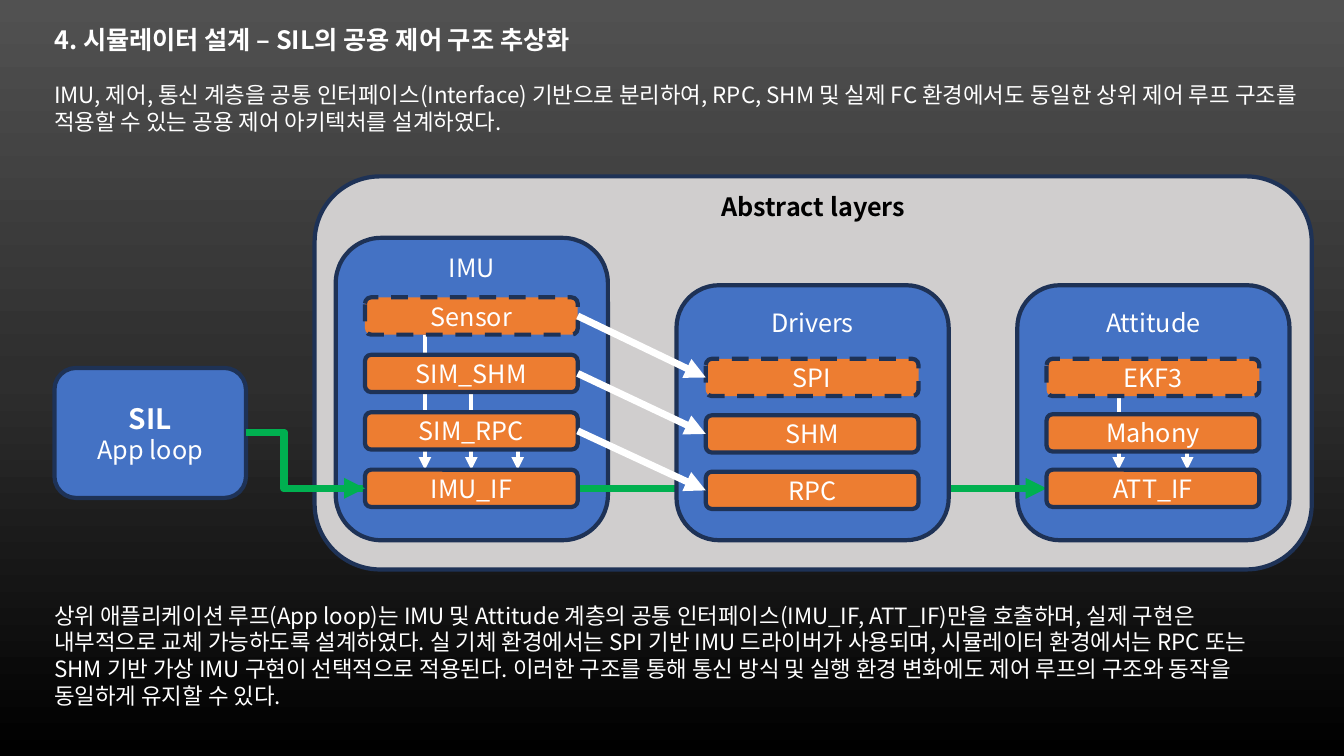
from pptx import Presentation
from pptx.dml.color import RGBColor
from pptx.enum.dml import MSO_LINE
from pptx.enum.shapes import MSO_CONNECTOR, MSO_SHAPE
from pptx.enum.text import MSO_ANCHOR, PP_ALIGN
from pptx.oxml.ns import qn
from pptx.util import Inches, Pt
from lxml.etree import SubElement

FONT = "Noto Sans CJK KR"
COLORS = {
    "white": "FFFFFF", "black": "000000", "navy": "1E3256", "blue": "4472C4",
    "orange": "ED7D31", "gray": "D0CECE", "green": "00B050",
}
GRADIENT = [(0, "515151"), (50, "2E2E2E"), (100, "000000")]

HEADING = [
    ("4. 시뮬레이터 설계 – SIL의 공용 제어 구조 추상화", 18, True),
    ("IMU, 제어, 통신 계층을 공통 인터페이스(Interface) 기반으로 분리하여, RPC, SHM 및 실제 FC 환경에서도 "
     "동일한 상위 제어 루프 구조를 적용할 수 있는 공용 제어 아키텍처를 설계하였다.", 16, False),
]
SUMMARY = [
    ("상위 애플리케이션 루프(App loop)는 IMU 및 Attitude 계층의 공통 인터페이스(IMU_IF, ATT_IF)만을 호출하며, "
     "실제 구현은 내부적으로 교체 가능하도록 설계하였다. 실 기체 환경에서는 SPI 기반 IMU 드라이버가 사용되며, "
     "시뮬레이터 환경에서는 RPC 또는 SHM 기반 가상 IMU 구현이 선택적으로 적용된다. 이러한 구조를 통해 통신 방식 및 "
     "실행 환경 변화에도 제어 루프의 구조와 동작을 동일하게 유지할 수 있다.", 16, False),
]
ABSTRACT = ("Abstract layers", 18, True)
SIL = [("SIL", 20, True), ("App loop", 18, False)]

LAYERS = {
    "IMU": {"left": 3.33, "top": 2.36, "inset": 0.01, "last": 4.66, "pitch": 0.57,
            "boxes": ["Sensor", "SIM_SHM", "SIM_RPC", "IMU_IF"], "flows": [-0.46, 0, 0.46]},
    "Attitude": {"left": 10.09, "top": 2.83, "inset": 0.1, "last": 4.66, "pitch": 0.55,
                 "boxes": ["EKF3", "Mahony", "ATT_IF"], "flows": [-0.34, 0.34]},
    "Drivers": {"left": 6.71, "top": 2.83, "inset": 0.1, "last": 4.68, "pitch": 0.56,
                "boxes": ["SPI", "SHM", "RPC"], "flows": []},
}
LINKS = [("Sensor", "SPI"), ("SIM_SHM", "SHM"), ("SIM_RPC", "RPC")]
LAYER_WIDTH, LAYER_BOTTOM = 2.7, 5.36
BOX_WIDTH, BOX_HEIGHT = 2.11, 0.37
BOX_INDENT = 0.29


def color(name):
    return RGBColor.from_string(COLORS[name])


def write(frame, lines, text_color, align, gap=0):
    frame.word_wrap = True
    frame.text = "\n".join(text for text, size, bold in lines)
    for index, (para, (text, size, bold)) in enumerate(zip(frame.paragraphs, lines)):
        para.alignment = align
        if index:
            para.space_before = Pt(gap)
        for span in para.runs:
            font = span.font
            font.name, font.size, font.bold = FONT, Pt(size), bold
            font.color.rgb = color(text_color)
            SubElement(font._element, qn("a:ea"), typeface=FONT)


def add_text(page, top, width, height, lines, gap=0):
    box = page.shapes.add_textbox(Inches(0.44), Inches(top), Inches(width), Inches(height))
    write(box.text_frame, lines, "white", PP_ALIGN.LEFT, gap)


def add_box(page, place, fill, lines, text_color="white", inset=None, dashed=False):
    box = page.shapes.add_shape(MSO_SHAPE.ROUNDED_RECTANGLE, *map(Inches, place))
    box.shadow.inherit = False
    box.fill.solid()
    box.fill.fore_color.rgb = color(fill)
    box.line.color.rgb = color("navy")
    box.line.width = Pt(3)
    if dashed:
        box.line.dash_style = MSO_LINE.DASH
    frame = box.text_frame
    frame.vertical_anchor = MSO_ANCHOR.MIDDLE
    if inset is not None:
        frame.vertical_anchor = MSO_ANCHOR.TOP
        frame.margin_top = Inches(inset)
    write(frame, lines, text_color, PP_ALIGN.CENTER)
    return box


def add_arrow(page, start, end, line_color, width, bend=None):
    kind = MSO_CONNECTOR.STRAIGHT if bend is None else MSO_CONNECTOR.ELBOW
    arrow = page.shapes.add_connector(kind, *map(Inches, start + end))
    arrow.line.color.rgb = color(line_color)
    arrow.line.width = Pt(width)
    SubElement(arrow.line._get_or_add_ln(), qn("a:tailEnd"), type="triangle")
    properties = arrow._element.spPr
    SubElement(properties, qn("a:effectLst"))
    if bend is not None:
        guides = properties.find(qn("a:prstGeom")).get_or_add_avLst()
        SubElement(guides, qn("a:gd"), name="adj1", fmla=f"val {round(bend * 100000)}")
    return arrow


def join(arrow, source, source_side, target, target_side):
    arrow.begin_connect(source, source_side)
    arrow.end_connect(target, target_side)


def paint_background(page):
    fill = page.background.fill
    fill.gradient()
    fill.gradient_angle = 270
    stops = page._element.find(".//" + qn("a:gsLst"))
    for stop in list(stops):
        stops.remove(stop)
    for position, value in GRADIENT:
        stop = SubElement(stops, qn("a:gs"), pos=str(position * 1000))
        SubElement(stop, qn("a:srgbClr"), val=value)


def add_layer(page, name):
    layer = LAYERS[name]
    place = (layer["left"], layer["top"], LAYER_WIDTH, LAYER_BOTTOM - layer["top"])
    add_box(page, place, "blue", [(name, 18, False)], inset=layer["inset"])


def add_layer_boxes(page, layer):
    names = layer["boxes"]
    left = layer["left"] + BOX_INDENT
    tops = [layer["last"] - layer["pitch"] * (len(names) - 1 - row) for row in range(len(names))]
    center = left + BOX_WIDTH / 2
    flows = [
        add_arrow(page, (center + shift, top + BOX_HEIGHT), (center + shift, layer["last"]), "white", 3)
        for shift, top in zip(layer["flows"], tops)
    ]
    boxes = {
        name: add_box(page, (left, top, BOX_WIDTH, BOX_HEIGHT), "orange", [(name, 18, False)], dashed=row == 0)
        for row, (name, top) in enumerate(zip(names, tops))
    }
    for name, shift, flow in zip(names, layer["flows"], flows):
        if shift == 0:
            join(flow, boxes[name], 2, boxes[names[-1]], 0)
    return boxes


def main():
    deck = Presentation()
    deck.slide_width, deck.slide_height = Inches(13.33), Inches(7.5)
    page = deck.slides.add_slide(deck.slide_layouts[6])
    paint_background(page)

    add_box(page, (3.12, 1.75, 9.89, 3.9), "gray", [ABSTRACT], "black", inset=-0.04)
    add_layer(page, "IMU")
    add_layer(page, "Attitude")
    attitude_call = add_arrow(page, (2.44, 4.3), (10.39, 4.85), "green", 5, 0.047)
    add_layer(page, "Drivers")

    boxes = {}
    for layer in LAYERS.values():
        boxes.update(add_layer_boxes(page, layer))
    for source, target in LINKS:
        link = add_arrow(page, (5.73, 4.28), (7, 4.86), "white", 5)
        join(link, boxes[source], 3, boxes[target], 1)

    sil = add_box(page, (0.54, 3.65, 1.9, 1.29), "blue", SIL)
    imu_call = add_arrow(page, (2.44, 4.3), (3.62, 4.85), "green", 5, 0.326)
    join(imu_call, sil, 3, boxes["IMU_IF"], 1)
    join(attitude_call, sil, 3, boxes["ATT_IF"], 1)

    add_text(page, 0.19, 12.67, 1.21, HEADING, gap=19)
    add_text(page, 5.92, 12.5, 1.18, SUMMARY)
    deck.save("out.pptx")


if __name__ == "__main__":
    main()
